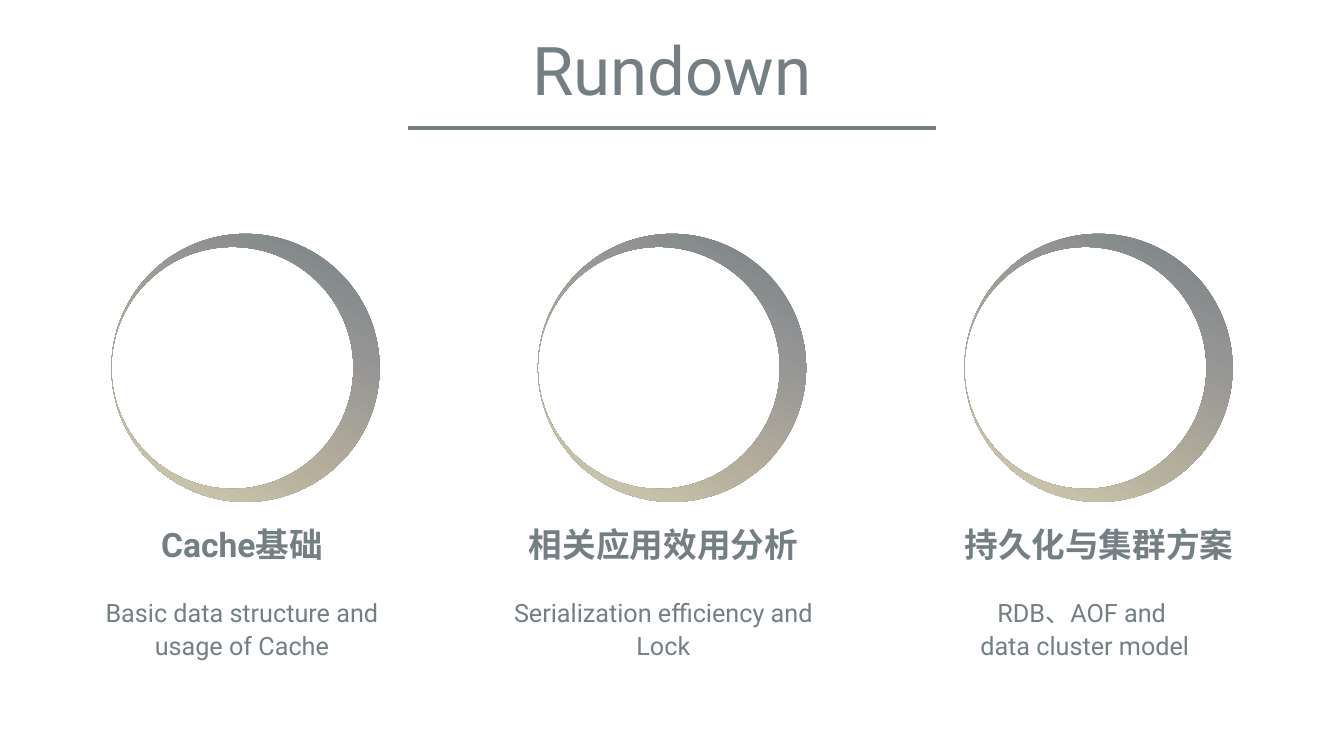
import pptx
import pptx.dml.color
import pptx.enum.shapes
import pptx.enum.text
import pptx.oxml.ns
import pptx.util
from lxml import etree

Inches = pptx.util.Inches
qn = pptx.oxml.ns.qn

# Content
TITLE = "Rundown"
TOPICS = [
    ("Cache基础", "Basic data structure and usage of Cache"),
    ("相关应用效用分析", "Serialization efficiency and Lock"),
    ("持久化与集群方案", "RDB、AOF and \vdata cluster model"),
]

# Colours and type sizes
THEME = {
    "font": "Roboto",
    "ink": "747F83",
    "gradient": [(0, "747F83"), (30, "949494"), (65, "B6AF9D"), (100, "D6CFB5")],
    "title": 48,
    "label": 24,
    "caption": 18,
    "rule": 3,
}

# Layout, in inches
WIDTH, HEIGHT = 13.33, 7.5
MIDDLE = WIDTH / 2
TITLE_WIDTH = 5.71
RULE_WIDTH, RULE_TOP = 5.23, 1.27
RING_STEP, RING_MIDDLE = 4.23, 3.65
OUTER_RADIUS, INNER_RADIUS = 1.33, 1.2
LABEL_CENTRES = (2.4, 6.58, 10.9)
CAPTION_STEP, CAPTION_CENTRE = 4.18, 6.58
HALF_TURN = 180 * 60000


def write_text(shape, text, size, bold=False, spacing=1.0, after=0):
    frame = shape.text_frame
    frame.word_wrap = True
    frame.auto_size = pptx.enum.text.MSO_AUTO_SIZE.NONE
    frame.vertical_anchor = pptx.enum.text.MSO_ANCHOR.TOP
    frame.text = text
    paragraph = frame.paragraphs[0]
    paragraph.alignment = pptx.enum.text.PP_ALIGN.CENTER
    paragraph.line_spacing = spacing
    paragraph.space_after = pptx.util.Pt(after)
    for run in paragraph.runs:
        run.font.name = THEME["font"]
        run.font.size = pptx.util.Pt(size)
        run.font.bold = bold
        run.font.color.rgb = pptx.dml.color.RGBColor.from_string(THEME["ink"])


def add_text(slide, centre, top, width, height, text, size, **style):
    box = slide.shapes.add_textbox(
        Inches(centre - width / 2), Inches(top), Inches(width), Inches(height))
    write_text(box, text, size, **style)


def fill_gradient(shape):
    shape.fill.gradient()
    shape.fill.gradient_angle = 330
    stops = shape._element.spPr.find(".//" + qn("a:gsLst"))
    for stop in list(stops):
        stops.remove(stop)
    for position, colour in THEME["gradient"]:
        stop = etree.SubElement(stops, qn("a:gs"), pos=str(position * 1000))
        etree.SubElement(stop, qn("a:srgbClr"), val=colour)


def round_outline(shape):
    """Replace the straight sides by an outer circle and an inner one, touching at the bottom."""
    outline = shape._element.spPr.find(".//" + qn("a:path"))
    for side in list(outline):
        outline.remove(side)
    start = etree.SubElement(outline, qn("a:moveTo"))
    etree.SubElement(start, qn("a:pt"), x=str(Inches(OUTER_RADIUS)), y=str(Inches(2 * OUTER_RADIUS)))
    for radius, sweep in ((OUTER_RADIUS, HALF_TURN), (INNER_RADIUS, -HALF_TURN)):
        for start_degrees in (90, 270):
            etree.SubElement(
                outline, qn("a:arcTo"), wR=str(Inches(radius)), hR=str(Inches(radius)),
                stAng=str(start_degrees * 60000), swAng=str(sweep))
    etree.SubElement(outline, qn("a:close"))


def add_ring(slide, centre):
    """A crescent, thick at the top, then turned so the thick side is right."""
    left, right = Inches(centre - OUTER_RADIUS), Inches(centre + OUTER_RADIUS)
    top, bottom = Inches(RING_MIDDLE - OUTER_RADIUS), Inches(RING_MIDDLE + OUTER_RADIUS)
    builder = slide.shapes.build_freeform(left, top)
    builder.add_line_segments([(right, top), (right, bottom), (left, bottom)], close=True)
    ring = builder.convert_to_shape()
    round_outline(ring)
    ring.rotation = 90
    ring.shadow.inherit = False
    ring.line.fill.background()
    fill_gradient(ring)


def add_rule(slide):
    rule = slide.shapes.add_connector(
        pptx.enum.shapes.MSO_CONNECTOR.STRAIGHT,
        Inches(MIDDLE - RULE_WIDTH / 2), Inches(RULE_TOP),
        Inches(MIDDLE + RULE_WIDTH / 2), Inches(RULE_TOP))
    rule.line.color.rgb = pptx.dml.color.RGBColor.from_string(THEME["ink"])
    rule.line.width = pptx.util.Pt(THEME["rule"])
    etree.SubElement(rule._element.spPr, qn("a:effectLst"))


def main():
    presentation = pptx.Presentation()
    presentation.slide_width = Inches(WIDTH)
    presentation.slide_height = Inches(HEIGHT)
    slide = presentation.slides.add_slide(presentation.slide_layouts[5])

    # Title and rule
    title = slide.shapes.title
    title.left, title.top = Inches(MIDDLE - TITLE_WIDTH / 2), Inches(0.23)
    title.width, title.height = Inches(TITLE_WIDTH), Inches(0.91)
    write_text(title, TITLE, THEME["title"])
    add_rule(slide)

    # One column per topic
    for index, (label, caption) in enumerate(TOPICS):
        offset = index - 1
        add_ring(slide, MIDDLE + offset * RING_STEP)
        add_text(slide, LABEL_CENTRES[index], 5.19, 2.9, 0.38,
                 label, THEME["label"], bold=True, spacing=0.9)
        add_text(slide, CAPTION_CENTRE + offset * CAPTION_STEP, 5.86, 3.36, 0.73,
                 caption, THEME["caption"], spacing=1.07, after=8)

    presentation.save("out.pptx")


if __name__ == "__main__":
    main()
